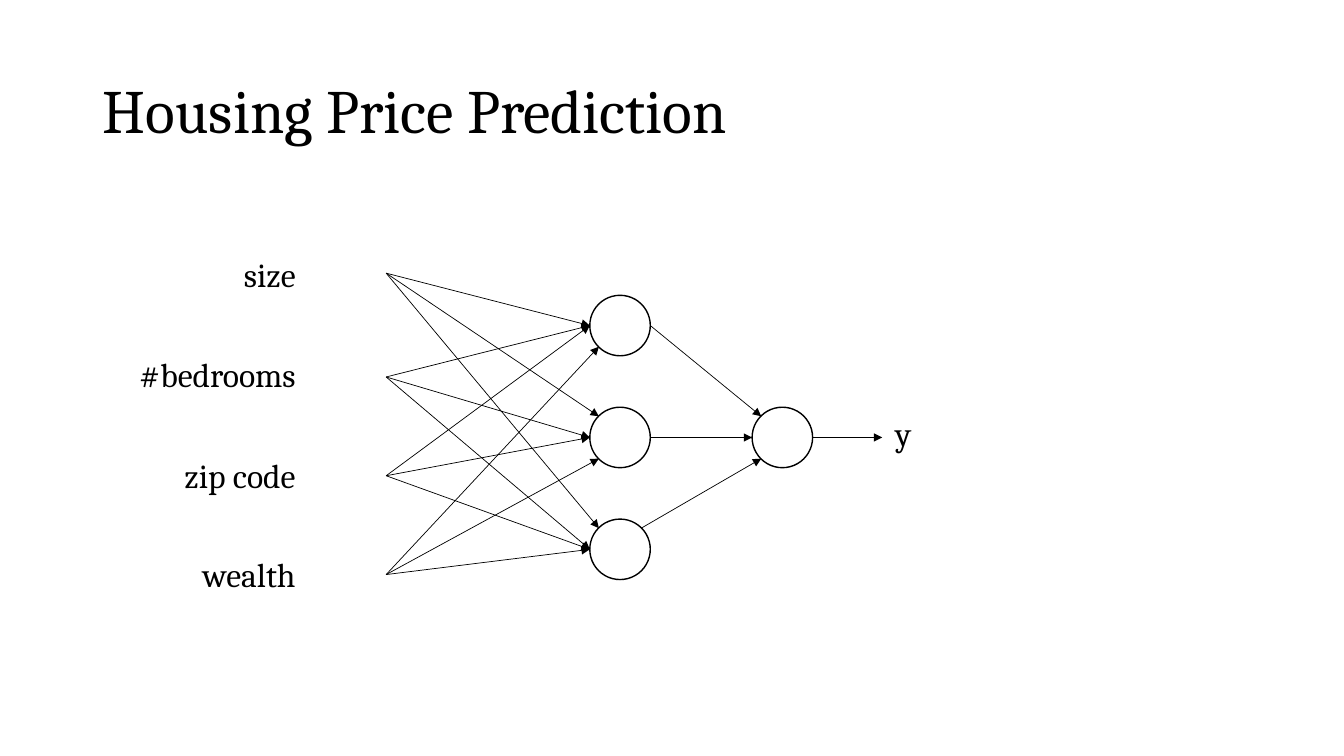
from lxml import etree
from pptx import Presentation
from pptx.dml.color import RGBColor
from pptx.enum.shapes import MSO_CONNECTOR, MSO_SHAPE
from pptx.enum.text import MSO_ANCHOR, MSO_AUTO_SIZE, PP_ALIGN
from pptx.oxml.ns import qn
from pptx.util import Inches, Pt

BLACK = RGBColor(0, 0, 0)
STRAIGHT = MSO_CONNECTOR.STRAIGHT
OVAL = MSO_SHAPE.OVAL
MIDDLE = MSO_ANCHOR.MIDDLE
NO_AUTOFIT, GROW = MSO_AUTO_SIZE.NONE, MSO_AUTO_SIZE.SHAPE_TO_FIT_TEXT
LEFT, RIGHT = PP_ALIGN.LEFT, PP_ALIGN.RIGHT

DIAMETER = 0.6
SITES = {
    "left": (-0.3, 0),
    "right": (0.3, 0),
    "upper left": (-0.21, -0.21),
    "lower left": (-0.21, 0.21),
    "upper right": (0.21, -0.21),
}

prs = Presentation()
prs.slide_width, prs.slide_height = Inches(13.33), Inches(7.5)
slide = prs.slides.add_slide(prs.slide_layouts[5])


def write_text(box, text, size, alignment):
    paragraph = box.text_frame.paragraphs[0]
    paragraph.text = text
    paragraph.alignment = alignment
    for name, value in {"name": "Cambria", "size": Pt(size)}.items():
        setattr(paragraph.font, name, value)
    paragraph.font.color.rgb = BLACK
    return paragraph


def add_arrow(start, end):
    arrow = slide.shapes.add_connector(STRAIGHT, *map(Inches, start + end))
    arrow.line.color.rgb = BLACK
    arrow.line.width = Pt(0.5)
    properties = arrow.line._get_or_add_ln()
    etree.SubElement(properties, qn("a:tailEnd"), type="triangle")
    etree.SubElement(arrow._element.spPr, qn("a:effectLst"))


title = slide.shapes.title
title_place = {"left": 0.92, "top": 0.4, "width": 11.5, "height": 1.45}
for side, inches in title_place.items():
    setattr(title, side, Inches(inches))
heading = write_text(title, "Housing Price Prediction", 44, LEFT)
heading.line_spacing = 0.9
title_frame = {"vertical_anchor": MIDDLE, "auto_size": NO_AUTOFIT, "word_wrap": True}
for name, value in title_frame.items():
    setattr(title.text_frame, name, value)

labels = [
    ("size", 1.91, 2.47, 1.12, RIGHT),
    ("#bedrooms", 1.04, 3.46, 1.99, RIGHT),
    ("zip code", 1.33, 4.46, 1.7, RIGHT),
    ("wealth", 1.08, 5.45, 1.95, RIGHT),
    ("y", 8.78, 4.05, 0.35, LEFT),
]
for text, left, top, width, alignment in labels:
    label = slide.shapes.add_textbox(*map(Inches, (left, top, width, 0.5)))
    label.text_frame.word_wrap = True
    label.text_frame.auto_size = GROW
    write_text(label, text, 24, alignment)

hidden_neurons = [(6.15, 3.23 + 1.11 * row) for row in range(3)]
output_neuron = (7.76, 4.34)
for x, y in hidden_neurons + [output_neuron]:
    corner = (x - DIAMETER / 2, y - DIAMETER / 2)
    neuron = slide.shapes.add_shape(OVAL, *map(Inches, corner + (DIAMETER, DIAMETER)))
    neuron.shadow.inherit = False
    neuron.fill.background()
    neuron.line.color.rgb = BLACK
    neuron.line.width = Pt(1)

feature_links = [
    (2.71, ("left", "upper left", "upper left")),
    (3.74, ("left", "left", "left")),
    (4.72, ("left", "left", "left")),
    (5.7, ("lower left", "lower left", "left")),
]
for feature_y, entry_sites in feature_links:
    for (x, y), site in zip(hidden_neurons, entry_sites):
        dx, dy = SITES[site]
        add_arrow((3.83, feature_y), (x + dx, y + dy))

output_links = [("right", "upper left"), ("right", "left"), ("upper right", "lower left")]
output_x, output_y = output_neuron
for (x, y), (exit_site, entry_site) in zip(hidden_neurons, output_links):
    exit_dx, exit_dy = SITES[exit_site]
    entry_dx, entry_dy = SITES[entry_site]
    add_arrow((x + exit_dx, y + exit_dy), (output_x + entry_dx, output_y + entry_dy))
add_arrow((output_x + DIAMETER / 2, output_y), (8.75, output_y))

prs.save("out.pptx")
